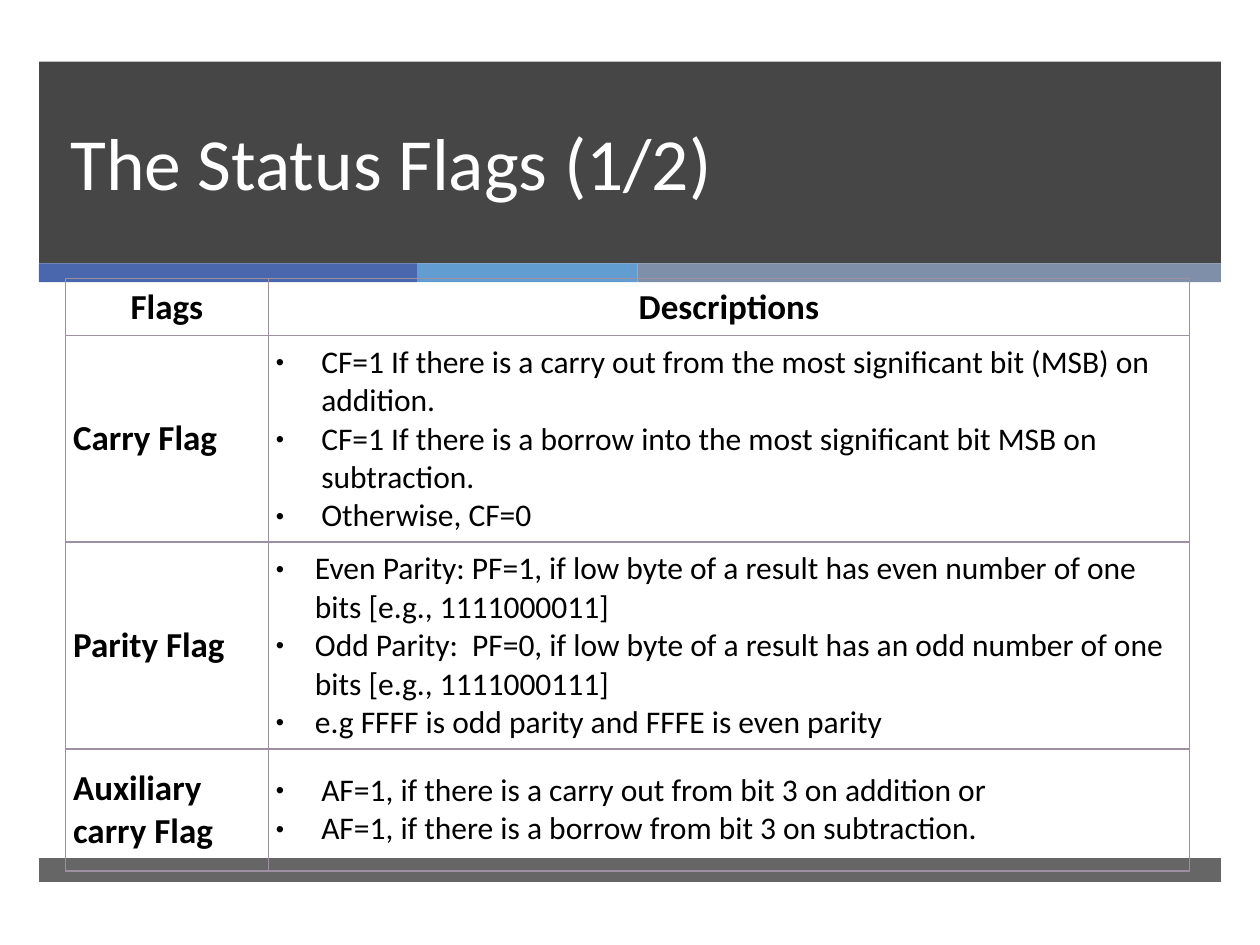
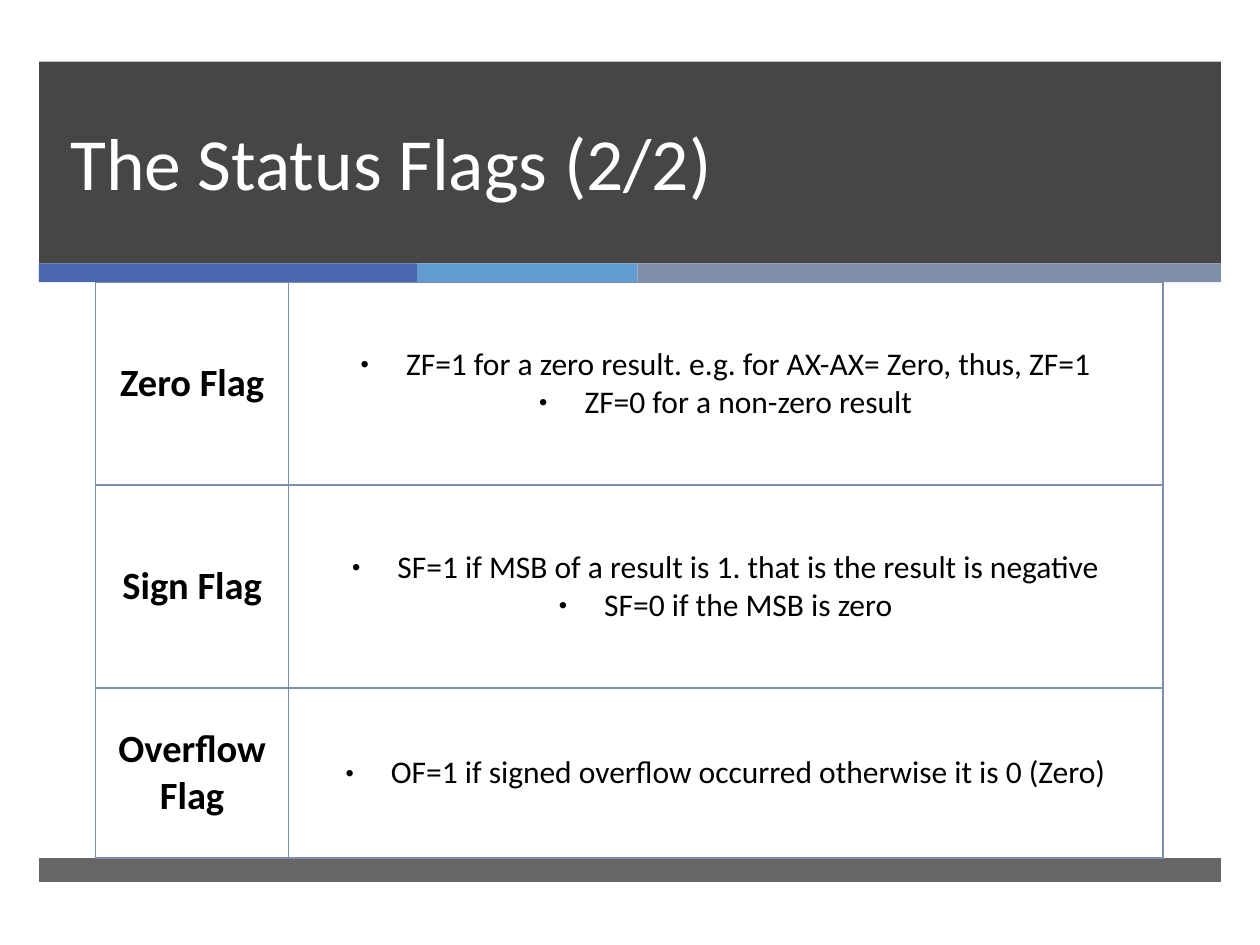
"""Builds two slides that tabulate the processor status flags."""
from dataclasses import dataclass

from lxml import etree
from pptx import Presentation
from pptx.dml.color import RGBColor
from pptx.enum.shapes import MSO_SHAPE
from pptx.enum.text import MSO_ANCHOR, PP_ALIGN
from pptx.oxml.ns import qn
from pptx.util import Inches, Pt

RECTANGLE = MSO_SHAPE.RECTANGLE
BOTTOM, MIDDLE = MSO_ANCHOR.BOTTOM, MSO_ANCHOR.MIDDLE
LEFT, CENTER = PP_ALIGN.LEFT, PP_ALIGN.CENTER
BLANK_LAYOUT = 6


@dataclass(frozen=True)
class Theme:
    """Colours and type sizes that the slides share."""
    font: str = "Calibri"
    dark: str = "262626"
    accents: tuple = ("4A66AC", "629DD1", "7F8FA9")
    text: str = "000000"
    title_text: str = "FFFFFF"
    mauve_border: str = "9D90A0"
    slate_border: str = "7F8FA9"
    title_size: int = 42
    title_leading: int = 46
    header_size: int = 20
    large_label_size: int = 22
    body_size: int = 18


THEME = Theme()
FRAME_LEFT, FRAME_WIDTH = 0.31, 9.38
ACCENT_WIDTHS = (3, 1.75, 4.63)
CELL_MARGIN = 0.06
WIDE_INDENT, NARROW_INDENT = 0.36, 0.31


def add_band(page, left, top, width, height, color, opacity=100):
    """Draw a plain filled rectangle, see-through when opacity is below 100."""
    band = page.shapes.add_shape(
        RECTANGLE, Inches(left), Inches(top), Inches(width), Inches(height))
    band.shadow.inherit = False
    band.line.fill.background()
    band.fill.solid()
    band.fill.fore_color.rgb = RGBColor.from_string(color)
    if opacity < 100:
        tint = band.fill._xPr.find(".//" + qn("a:srgbClr"))
        etree.SubElement(tint, qn("a:alpha"), val=str(opacity * 1000))


def add_frame(page, left, width):
    """Draw the title band, the accent strip and the footer band."""
    add_band(page, left, 0.49, width, 1.6, THEME.dark, 85)
    strip_left = left
    for strip_width, color in zip(ACCENT_WIDTHS, THEME.accents):
        add_band(page, strip_left, 2.09, strip_width, 0.15, color)
        strip_left += strip_width
    add_band(page, left, 6.81, width, 0.19, THEME.dark, 70)


def style_text(para, size, color, bold=False):
    """Give every span of a paragraph its font, size and colour."""
    for span in para.runs:
        span.font.name = THEME.font
        span.font.size = Pt(size)
        span.font.bold = bold
        span.font.color.rgb = RGBColor.from_string(color)


def add_title(page, left, top, width, height, title):
    """Write the slide title at the bottom of its box."""
    box = page.shapes.add_textbox(
        Inches(left), Inches(top), Inches(width), Inches(height))
    frame = box.text_frame
    frame.word_wrap = True
    frame.vertical_anchor = BOTTOM
    para = frame.paragraphs[0]
    para.text = title
    para.line_spacing = Pt(THEME.title_leading)
    style_text(para, THEME.title_size, THEME.title_text)


def add_bullet(para, indent):
    """Give a paragraph a small round bullet with a hanging indent."""
    props = para._p.get_or_add_pPr()
    props.set("marL", str(Inches(indent)))
    props.set("indent", str(-Inches(indent)))
    etree.SubElement(props, qn("a:buSzPct"), val="75000")
    etree.SubElement(props, qn("a:buFont"), typeface="Arial")
    etree.SubElement(props, qn("a:buChar"), char="•")


def set_borders(cell, color):
    """Draw a one-point line on all four sides of a cell."""
    props = cell._tc.get_or_add_tcPr()
    for place, side in enumerate(("lnL", "lnR", "lnT", "lnB")):
        line = etree.Element(qn("a:" + side), w=str(Pt(1)))
        fill = etree.SubElement(line, qn("a:solidFill"))
        etree.SubElement(fill, qn("a:srgbClr"), val=color)
        props.insert(place, line)


def fill_cell(cell, lines, size, align, border, bold=False, indent=None):
    """Write lines into an unfilled cell, bulleted when an indent is given."""
    cell.fill.background()
    set_borders(cell, border)
    cell.vertical_anchor = MIDDLE
    cell.margin_left = cell.margin_right = Inches(CELL_MARGIN)
    cell.margin_top = cell.margin_bottom = Inches(CELL_MARGIN)
    cell.text_frame.text = "\n".join(lines)
    for para in cell.text_frame.paragraphs:
        para.alignment = align
        style_text(para, size, THEME.text, bold)
        if indent:
            add_bullet(para, indent)


def add_flag_table(page, left, top, columns, heights, flags, border,
                   label_size, align, header=None):
    """Build the table of flag names and bulleted descriptions."""
    table = page.shapes.add_table(
        len(heights), len(columns), Inches(left), Inches(top),
        Inches(sum(columns)), Inches(sum(heights))).table
    table.first_row = table.horz_banding = False
    for column, width in zip(table.columns, columns):
        column.width = Inches(width)
    for row, height in zip(table.rows, heights):
        row.height = Inches(height)
    first = 0
    if header:
        first = 1
        for cell, label in zip(table.rows[0].cells, header):
            fill_cell(cell, [label], label_size, CENTER, border, bold=True)
    for index, (name, indent, lines) in enumerate(flags, first):
        fill_cell(table.cell(index, 0), [name], label_size, align, border, bold=True)
        fill_cell(table.cell(index, 1), lines, THEME.body_size, align, border,
                  indent=indent)


def add_flag_slide(deck, title, **table):
    """Add one slide: the shared frame, its title and its flag table."""
    page = deck.slides.add_slide(deck.slide_layouts[BLANK_LAYOUT])
    add_frame(page, FRAME_LEFT, FRAME_WIDTH)
    add_title(page, FRAME_LEFT + 0.15, 0.49, 8.54, 1.19, title)
    add_flag_table(page, **table)


CARRY_FLAGS = [
    ("Carry Flag", WIDE_INDENT, [
        "CF=1 If there is a carry out from the most significant bit (MSB) on addition.",
        "CF=1 If there is a borrow into the most significant bit MSB on subtraction.",
        "Otherwise, CF=0"]),
    ("Parity Flag", NARROW_INDENT, [
        "Even Parity: PF=1, if low byte of a result has even number of one bits "
        "[e.g., 1111000011]",
        "Odd Parity:  PF=0, if low byte of a result has an odd number of one bits "
        "[e.g., 1111000111]",
        "e.g FFFF is odd parity and FFFE is even parity"]),
    ("Auxiliary carry Flag", WIDE_INDENT, [
        "AF=1, if there is a carry out from bit 3 on addition or",
        "AF=1, if there is a borrow from bit 3 on subtraction."]),
]
RESULT_FLAGS = [
    ("Zero Flag", WIDE_INDENT, [
        "ZF=1 for a zero result. e.g. for AX-AX= Zero, thus, ZF=1",
        "ZF=0 for a non-zero result"]),
    ("Sign Flag", WIDE_INDENT, [
        "SF=1 if MSB of a result is 1. that is the result is negative",
        "SF=0 if the MSB is zero"]),
    ("Overflow Flag", WIDE_INDENT, [
        "OF=1 if signed overflow occurred otherwise it is 0 (Zero)"]),
]


def main():
    """Build the deck and save it."""
    deck = Presentation()
    deck.slide_width, deck.slide_height = Inches(10), Inches(7.5)
    add_flag_slide(
        deck, "The Status Flags (1/2)", left=0.52, top=2.21,
        columns=(1.61, 7.31), heights=(0.45, 1.64, 1.64, 0.97),
        flags=CARRY_FLAGS, border=THEME.mauve_border,
        label_size=THEME.header_size, align=LEFT,
        header=("Flags", "Descriptions"))
    add_flag_slide(
        deck, "The Status Flags (2/2)", left=0.76, top=2.24,
        columns=(1.53, 6.94), heights=(1.61, 1.61, 1.35),
        flags=RESULT_FLAGS, border=THEME.slate_border,
        label_size=THEME.large_label_size, align=CENTER)
    deck.save("out.pptx")


main()
